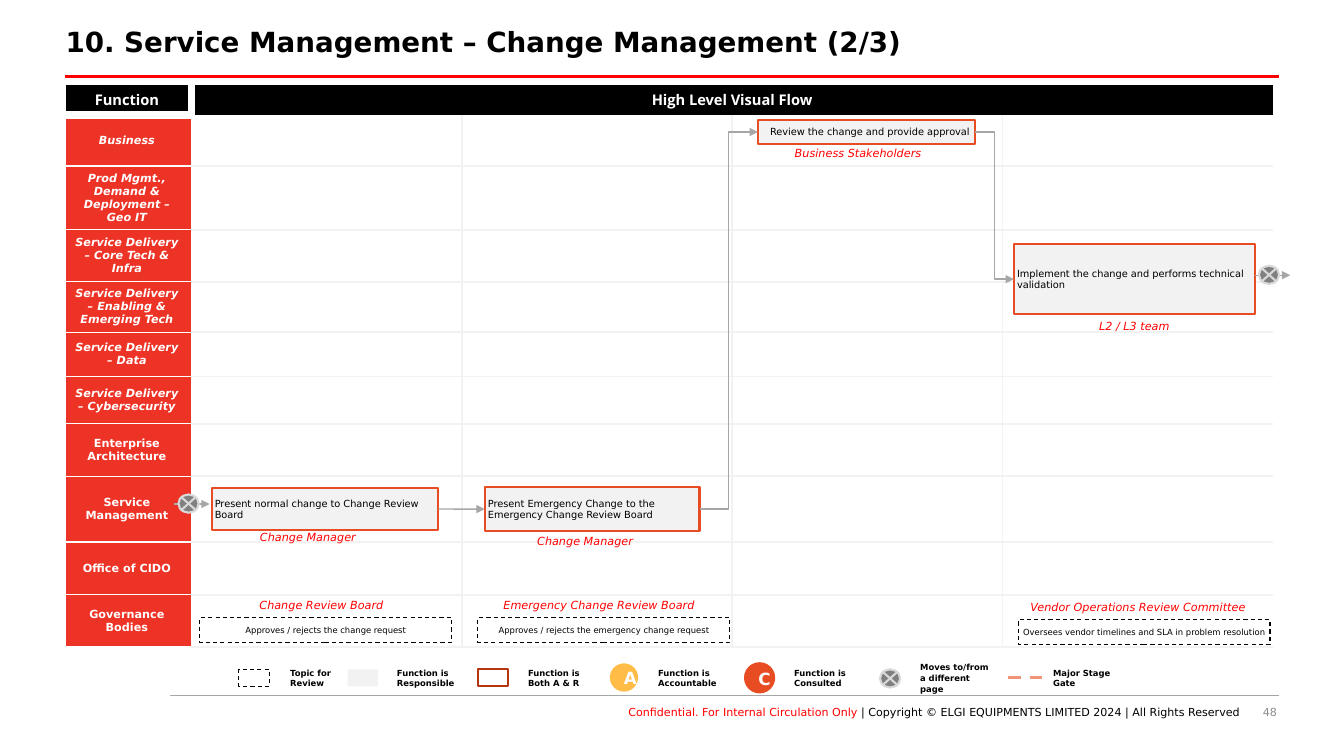
from dataclasses import dataclass
from typing import Any, Optional

from lxml import etree
from pptx import Presentation
from pptx import util as u
from pptx.dml.color import RGBColor
from pptx.enum import dml, shapes, text
from pptx.oxml import ns

Pt = u.Pt
BLACK = RGBColor(0x00, 0x00, 0x00)
WHITE = RGBColor(0xFF, 0xFF, 0xFF)
RED = RGBColor(0xFF, 0x00, 0x00)
BRICK = RGBColor(0xED, 0x33, 0x26)
ORANGE = RGBColor(0xE8, 0x4C, 0x22)
RUST = RGBColor(0xB5, 0x35, 0x13)
AMBER = RGBColor(0xFF, 0xBD, 0x47)
SALMON = RGBColor(0xF1, 0x94, 0x7A)
PALE = RGBColor(0xF2, 0xF2, 0xF2)
SILVER = RGBColor(0xD9, 0xD9, 0xD9)
GREY = RGBColor(0xA6, 0xA6, 0xA6)
DIM = RGBColor(0x8C, 0x8C, 0x8C)
DARK = RGBColor(0x80, 0x80, 0x80)

SANS, OPEN = "DejaVu Sans", "Open Sans"
NO_GRID = "{2D5ABB26-0587-4C30-8999-92F81FD0307C}"
KIND, LINK = shapes.MSO_SHAPE, shapes.MSO_CONNECTOR
LEFT, MID, RIGHT = text.PP_ALIGN.LEFT, text.PP_ALIGN.CENTER, text.PP_ALIGN.RIGHT


@dataclass(frozen=True)
class Font:
    size: float
    color: RGBColor = BLACK
    bold: bool = False
    slant: bool = False
    name: str = SANS


@dataclass(frozen=True)
class Box:
    x: float
    y: float
    w: float
    h: float


@dataclass(frozen=True)
class Look:
    fill: Optional[RGBColor] = None
    edge: Optional[RGBColor] = None
    width: float = 1.5
    dash: bool = False
    kind: Any = KIND.RECTANGLE


@dataclass(frozen=True)
class Step:
    """A framed action with the role named below it, centred at cx."""
    words: str
    box: Box
    role: str
    cx: float
    top: float
    indent: float = 0


@dataclass(frozen=True)
class Review:
    """A governance topic with its board named above it."""
    topic: str
    x: float
    y: float
    board: str
    cx: float


@dataclass(frozen=True)
class Key:
    """A legend entry: symbol, optional letter, caption lines."""
    look: Look
    box: Box
    lines: tuple[str, ...]
    x: float
    letter: str = ""


TASK = Look(PALE, ORANGE)
TOPIC = Look(WHITE, BLACK, 0.75, True)
JUMP = Look(DARK, SILVER, kind=KIND.FLOWCHART_SUMMING_JUNCTION)
ROLE = Font(8, RED, slant=True)
CAPTION = Font(6, bold=True)

LANES = [  # name, height, italic
    ("Business", 36.4, True), ("Prod Mgmt., Demand & Deployment – Geo IT", 45, True),
    ("Service Delivery – Core Tech & Infra", 37.2, True),
    ("Service Delivery – Enabling & Emerging Tech", 35.6, True),
    ("Service Delivery – Data", 31.6, True), ("Service Delivery – Cybersecurity", 33.8, True),
    ("Enterprise Architecture", 37.5, False), ("Service Management", 47, False),
    ("Office of CIDO", 37.6, False), ("Governance Bodies", 37.5, False),
]
STEPS = [
    Step("Present normal change to Change Review Board",
         Box(151.2, 348.5, 162, 30.2), "Change Manager", 220, 375.1),
    Step("Present Emergency Change to the Emergency Change Review Board",
         Box(346.3, 347.8, 153.4, 31.7), "Change Manager", 418, 378),
    Step("Review the change and provide approval",
         Box(541.4, 85.7, 155, 17.3), "Business Stakeholders", 613, 100.8, 6.5),
    Step("Implement the change and performs technical validation",
         Box(724.3, 174.2, 172.4, 50.4), "L2 / L3 team", 810.3, 224.6),
]
REVIEWS = [
    Review("Approves / rejects the change request", 142.6, 441.4, "Change Review Board", 229.7),
    Review("Approves / rejects the emergency change request", 341.3, 441.4,
           "Emergency Change Review Board", 428),
    Review("Oversees vendor timelines and SLA in problem resolution", 727.2, 442.8,
           "Vendor Operations Review Committee", 813),
]
KEYS = [
    Key(Look(None, BLACK, 0.75, True), Box(170.7, 478.1, 21.6, 12.2), ("Topic for", "Review"), 200.2),
    Key(Look(PALE), Box(248.4, 478.1, 21.6, 12.2), ("Function is Responsible",), 276.5),
    Key(Look(None, RUST), Box(341.3, 478.1, 21.6, 12.2), ("Function is Both A & R",), 370.1),
    Key(Look(AMBER, kind=KIND.OVAL), Box(435.6, 473.8, 20.2, 20.2), ("Function is Accountable",), 463, "A"),
    Key(Look(ORANGE, kind=KIND.OVAL), Box(531.4, 473, 22.3, 22.3), ("Function is Consulted",), 560.2, "C"),
    Key(JUMP, Box(628.6, 478.1, 14.4, 13), ("Moves to/from a different page",), 650.2),
]


def write(para: Any, words: str, font: Font) -> None:
    run = para.add_run()
    run.text = words
    run.font.name, run.font.size = font.name, Pt(font.size)
    run.font.bold, run.font.italic = font.bold, font.slant
    run.font.color.rgb = font.color


def setup(frame: Any, pads: tuple[float, ...], align: Any = LEFT, wrap: bool = True,
          anchor: Any = text.MSO_ANCHOR.MIDDLE) -> Any:
    """Format a text frame and return its first paragraph."""
    frame.word_wrap, frame.vertical_anchor = wrap, anchor
    (frame.margin_left, frame.margin_top,
     frame.margin_right, frame.margin_bottom) = map(Pt, pads)
    frame.paragraphs[0].alignment = align
    return frame.paragraphs[0]


def label(host: Any, box: Box) -> Any:
    return host.add_textbox(Pt(box.x), Pt(box.y), Pt(box.w), Pt(box.h)).text_frame


def draw(host: Any, box: Box, look: Look) -> Any:
    shape = host.add_shape(look.kind, Pt(box.x), Pt(box.y), Pt(box.w), Pt(box.h))
    shape.shadow.inherit = False
    if look.fill is None:
        shape.fill.background()
    else:
        shape.fill.solid()
        shape.fill.fore_color.rgb = look.fill
    if look.edge is None:
        shape.line.fill.background()
    else:
        shape.line.color.rgb, shape.line.width = look.edge, Pt(look.width)
        if look.dash:
            shape.line.dash_style = dml.MSO_LINE.DASH
    return shape


def stroke(host: Any, ends: tuple[float, ...], color: RGBColor, width: float,
           arrow: bool = False, dash: bool = False, kind: Any = LINK.STRAIGHT) -> Any:
    line = host.add_connector(kind, *map(Pt, ends))
    line.line.color.rgb, line.line.width = color, Pt(width)
    if dash:
        line.line.dash_style = dml.MSO_LINE.DASH
    if arrow:
        etree.SubElement(line.line._get_or_add_ln(), ns.qn("a:tailEnd"), type="triangle")
    etree.SubElement(line._element.spPr, ns.qn("a:effectLst"))
    return line


def paint(cell: Any, fill: Optional[RGBColor], color: RGBColor, sides: dict[str, float]) -> None:
    """Give a cell its borders, keyed by L, R, T, B in that order, and its fill."""
    props = cell._tc.get_or_add_tcPr()
    for side, width in sides.items():
        edge = etree.SubElement(props, ns.qn(f"a:ln{side}"), w=str(Pt(width)))
        solid = etree.SubElement(edge, ns.qn("a:solidFill"))
        etree.SubElement(solid, ns.qn("a:srgbClr"), val=str(color))
    if fill is None:
        cell.fill.background()
    else:
        cell.fill.solid()
        cell.fill.fore_color.rgb = fill


def head(cell: Any, words: str, font: Font) -> None:
    cell.vertical_anchor = text.MSO_ANCHOR.MIDDLE
    para = cell.text_frame.paragraphs[0]
    para.alignment = MID
    write(para, words, font)


def add_lanes(host: Any) -> None:
    grid = host.add_table(len(LANES) + 1, 5, Pt(44.6), Pt(60.5), Pt(864.6), Pt(400.9)).table
    grid._tbl.tblPr.find(ns.qn("a:tableStyleId")).text = NO_GRID
    for col, width in zip(grid.columns, [92.2] + [193.1] * 4):
        col.width = Pt(width)
    grid.rows[0].height = Pt(21.7)
    font = Font(10.5, WHITE, True, name=OPEN)
    grid.cell(0, 1).merge(grid.cell(0, 4))
    head(grid.cell(0, 0), "Function", font)
    head(grid.cell(0, 1), "High Level Visual Flow", font)
    paint(grid.cell(0, 0), BLACK, WHITE, {"L": 6, "R": 6, "T": 1, "B": 6})
    paint(grid.cell(0, 1), BLACK, WHITE, {"L": 6, "T": 1})
    for row, (name, height, slant) in enumerate(LANES, 1):
        grid.rows[row].height = Pt(height)
        head(grid.cell(row, 0), name, Font(8, WHITE, True, slant))
        paint(grid.cell(row, 0), BRICK, WHITE, {"L": 6, "T": 6 if row == 1 else 1, "B": 1})
        for col in range(1, 5):
            shown = {"L": col > 1, "R": col < 4, "T": row > 1, "B": True}
            paint(grid.cell(row, col), None, PALE, {side: 1.5 for side, on in shown.items() if on})


def add_role(host: Any, words: str, cx: float, top: float) -> None:
    frame = label(host, Box(cx - 86, top, 172, 17.3))
    write(setup(frame, (7.2, 3.6, 7.2, 3.6), MID, False, text.MSO_ANCHOR.TOP), words, ROLE)


def add_flow(host: Any) -> None:
    tasks = []
    for step in STEPS:
        task = draw(host, step.box, TASK)
        para = setup(task.text_frame, (2.2, 0, 0, 0))
        if step.indent:
            para._p.get_or_add_pPr().set("marL", str(Pt(step.indent)))
        write(para, step.words, Font(7))
        add_role(host, step.role, step.cx, step.top)
        tasks.append(task)
    for start, end, kind in zip(tasks, tasks[1:], (LINK.STRAIGHT, LINK.ELBOW, LINK.ELBOW)):
        line = stroke(host, (0, 0, 0, 0), GREY, 1, arrow=True, kind=kind)
        line.begin_connect(start, 3)
        line.end_connect(end, 1)
    for x, y in ((124.6, 360), (896.4, 196.6)):
        stroke(host, (x, y, x + 25.2, y), GREY, 1, arrow=True)
        draw(host, Box(x + 2.9, y - 6.8, 14.4, 13), JUMP)
    for item in REVIEWS:
        topic = draw(host, Box(item.x, item.y, 180, 17.3), TOPIC)
        para = setup(topic.text_frame, (3.6, 0, 3.6, 0), MID)
        para.line_spacing = 1.06
        write(para, item.topic, Font(6))
        add_role(host, item.board, item.cx, item.y - 17.6)


def add_caption(host: Any, x: float, lines: tuple[str, ...]) -> None:
    frame = label(host, Box(x, 472.3, 64.8, 23.8))
    setup(frame, (7.2,) * 4)
    for num, words in enumerate(lines):
        para = frame.add_paragraph() if num else frame.paragraphs[0]
        para.line_spacing = 1.06
        write(para, words, CAPTION)


def add_legend(host: Any) -> None:
    for key in KEYS:
        mark = draw(host, key.box, key.look)
        if key.letter:
            para = setup(mark.text_frame, (7.2,) * 4, MID)
            para.line_spacing = 1.06
            write(para, key.letter, Font(12, WHITE, True))
        add_caption(host, key.x, key.lines)
    stroke(host, (720, 483.8, 745.2, 483.8), SALMON, 2.25, dash=True)
    add_caption(host, 745.2, ("Major Stage Gate",))


def add_frame(slide: Any) -> None:
    """Title, rules, footer and page number."""
    title = slide.shapes.title
    title.left, title.top, title.width, title.height = map(Pt, (46.8, 16.6, 864.7, 29.5))
    para = setup(title.text_frame, (0, 3.6, 7.2, 3.6))
    para.line_spacing = 0.9
    write(para, "10. Service Management – Change Management (2/3)", Font(19.8, bold=True))
    stroke(slide.shapes, (121.7, 496.8, 913.7, 496.8), GREY, 0.5)
    stroke(slide.shapes, (46.1, 54.7, 913.7, 54.7), RED, 2.25)
    feet = [
        (Box(177.1, 504, 708.5, 14.4), [
            ("Conﬁdential. For Internal Circulation Only ", RED),
            ("| Copyright © ELGI EQUIPMENTS LIMITED 2024 | All Rights Reserved", BLACK)]),
        (Box(696.2, 504, 216, 14.4), [("48", DIM)]),
    ]
    for box, runs in feet:
        para = setup(label(slide.shapes, box), (0,) * 4, RIGHT, anchor=text.MSO_ANCHOR.TOP)
        for words, color in runs:
            write(para, words, Font(7.9, color))


def main() -> None:
    deck = Presentation()
    deck.slide_width, deck.slide_height = Pt(960), Pt(540)
    slide = deck.slides.add_slide(deck.slide_layouts[5])
    add_frame(slide)
    add_lanes(slide.shapes)
    add_legend(slide.shapes.add_group_shape().shapes)
    add_flow(slide.shapes)
    deck.save("out.pptx")


if __name__ == "__main__":
    main()
